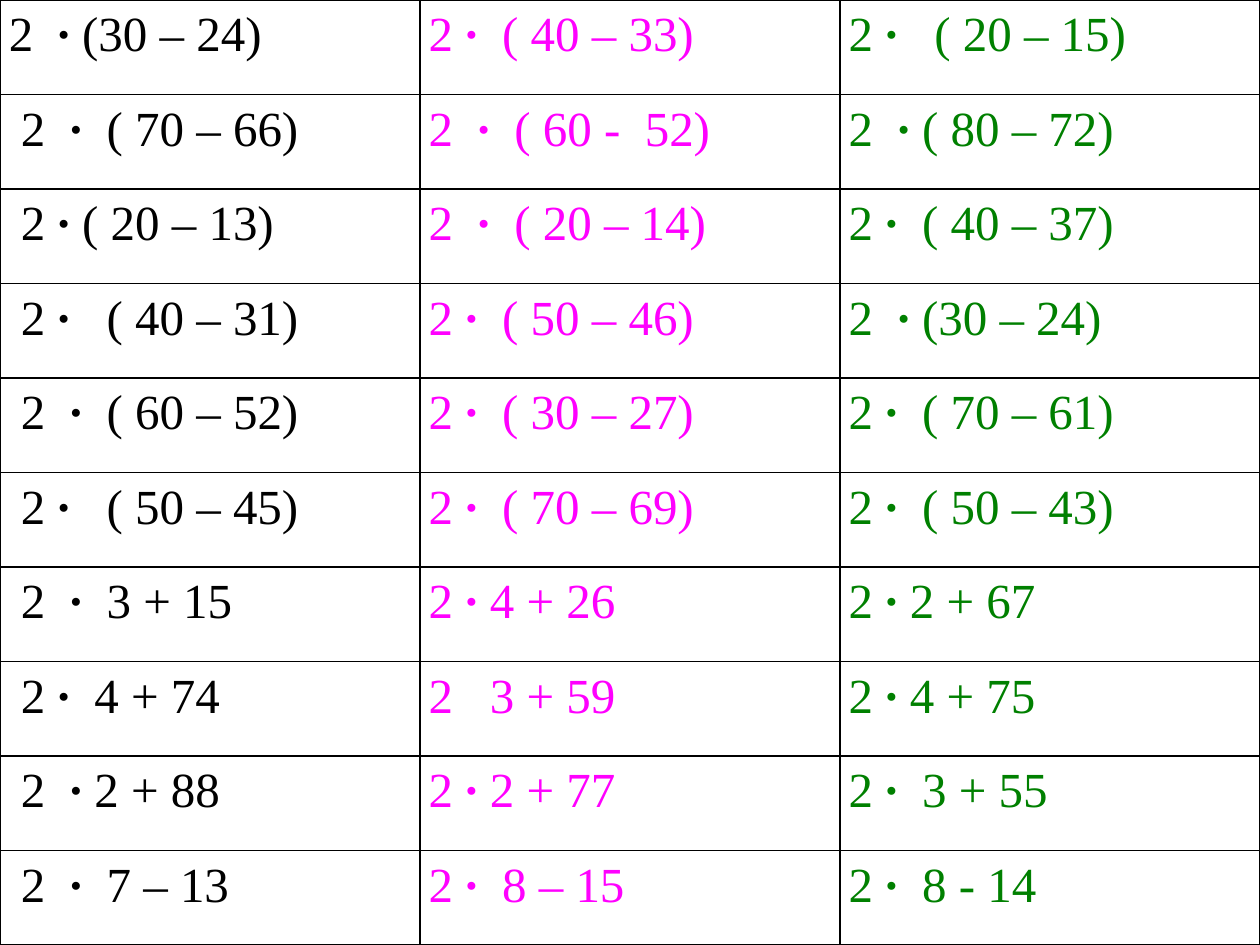
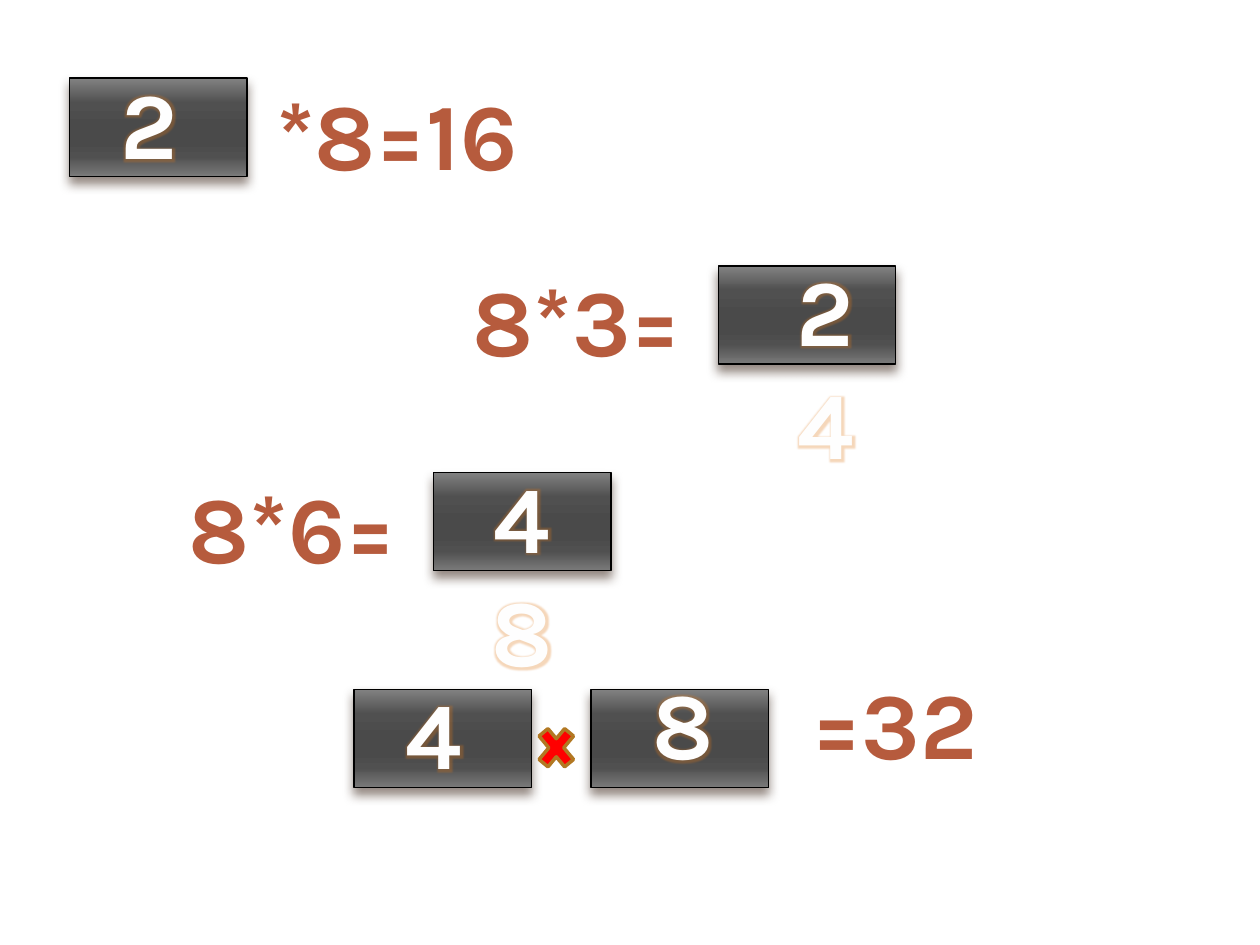
from dataclasses import dataclass

import lxml.etree
import pptx
import pptx.dml.color
import pptx.enum.shapes
import pptx.enum.text
import pptx.oxml.ns
import pptx.presentation
import pptx.shapes.autoshape
import pptx.slide
import pptx.table
import pptx.util

Inches = pptx.util.Inches
Pt = pptx.util.Pt
RGBColor = pptx.dml.color.RGBColor
qn = pptx.oxml.ns.qn

BLACK = RGBColor(0x00, 0x00, 0x00)
MAGENTA = RGBColor(0xFF, 0x00, 0xFF)
GREEN = RGBColor(0x00, 0x80, 0x00)
RED = RGBColor(0xFF, 0x00, 0x00)
GOLD = RGBColor(0xB2, 0x78, 0x22)
BRICK = RGBColor(0xB6, 0x5B, 0x3D)
OFF_WHITE = RGBColor(0xFE, 0xFE, 0xFE)
AMBER = RGBColor(0xBD, 0x6A, 0x17)
GLOW = RGBColor(0xE0, 0x78, 0x18)
SHADOW = RGBColor(0x4E, 0x3B, 0x30)
TILE_LIGHT = RGBColor(0x82, 0x82, 0x82)
TILE_MIDDLE = RGBColor(0x50, 0x50, 0x50)
TILE_DARK = RGBColor(0x4A, 0x4A, 0x4A)
TILE_BOTTOM = RGBColor(0x7A, 0x7A, 0x7A)
TILE_STOPS = [
    (0, TILE_LIGHT), (25, TILE_MIDDLE), (50, TILE_DARK),
    (65, TILE_DARK), (80, TILE_MIDDLE), (100, TILE_BOTTOM),
]

TABLE_FONT = "Times New Roman"
DISPLAY_FONT = "Karla"
SLIDE_WIDTH, SLIDE_HEIGHT = Inches(10), Inches(7.5)
TILE_WIDTH, TILE_HEIGHT = Inches(1.41), Inches(0.78)
TEXT_HEIGHT = Inches(1.01)
DOT = "∙"

COLUMN_COLORS = [BLACK, MAGENTA, GREEN]
EXERCISES = [
    ("2  ∙ (30 – 24)", "2 ∙  ( 40 – 33)", "2 ∙   ( 20 – 15)"),
    (" 2  ∙  ( 70 – 66)", "2  ∙  ( 60 -  52)", "2  ∙ ( 80 – 72)"),
    (" 2 ∙ ( 20 – 13)", "2  ∙  ( 20 – 14)", "2 ∙  ( 40 – 37)"),
    (" 2 ∙   ( 40 – 31)", "2 ∙  ( 50 – 46)", "2  ∙ (30 – 24)"),
    (" 2  ∙  ( 60 – 52)", "2 ∙  ( 30 – 27)", "2 ∙  ( 70 – 61)"),
    (" 2 ∙   ( 50 – 45)", "2 ∙  ( 70 – 69)", "2 ∙  ( 50 – 43)"),
    (" 2  ∙  3 + 15", "2 ∙ 4 + 26", "2 ∙ 2 + 67"),
    (" 2 ∙  4 + 74", "2   3 + 59", "2 ∙ 4 + 75"),
    (" 2  ∙ 2 + 88", "2 ∙ 2 + 77", "2 ∙  3 + 55"),
    (" 2  ∙  7 – 13", "2 ∙  8 – 15", "2 ∙  8 - 14"),
]


@dataclass(frozen=True)
class TextStyle:
    color: RGBColor
    outline: RGBColor
    outline_width: float
    glowing: bool


@dataclass(frozen=True)
class Label:
    text: str
    left: float
    top: float
    width: float
    wrapped: bool = False


EQUATION_STYLE = TextStyle(BRICK, BRICK, 1.42, False)
ANSWER_STYLE = TextStyle(OFF_WHITE, AMBER, 1, True)

TILES = [(0.55, 0.62), (5.7, 2.11), (3.44, 3.75), (2.81, 5.47), (4.69, 5.47)]
EQUATIONS = [
    Label("*8=16", 1.95, 0.55, 2.4),
    Label("8*3=", 3.59, 2.03, 1.98),
    Label("8*6=", 1.33, 3.67, 1.98),
    Label("=32", 6.33, 5.23, 1.54),
]
ANSWERS = [
    Label("2", 0.86, 0.47, 0.65),
    Label("24", 6.02, 1.95, 1.07, True),
    Label("48", 3.59, 3.59, 1.11, True),
    Label("8", 5.08, 5.23, 0.65),
    Label("4", 3.12, 5.31, 0.65),
]


def add_element(parent, tag: str, **attributes):
    values = {name: str(value) for name, value in attributes.items()}
    return lxml.etree.SubElement(parent, qn(tag), values)


def add_color(parent, color: RGBColor, alpha: int = 100) -> None:
    element = add_element(parent, "a:srgbClr", val=color)
    if alpha < 100:
        add_element(element, "a:alpha", val=alpha * 1000)


def add_line(parent, tag: str, color: RGBColor, width: float):
    line = add_element(parent, tag, w=int(Pt(width)))
    add_color(add_element(line, "a:solidFill"), color)
    return line


def fill_cell(cell: pptx.table._Cell, text: str, color: RGBColor) -> None:
    cell.margin_left = cell.margin_right = Inches(0.07)
    cell.margin_top = cell.margin_bottom = 0
    properties = cell._tc.get_or_add_tcPr()
    for side in "LRTB":
        add_line(properties, f"a:ln{side}", BLACK, 1)
    cell.fill.background()
    paragraph = cell.text_frame.paragraphs[0]
    paragraph.line_spacing = 1.15
    paragraph.font.name = TABLE_FONT
    paragraph.font.size = Pt(28)
    paragraph.font.color.rgb = color
    for part in text.partition(DOT):
        if part:
            run = paragraph.add_run()
            run.text = part
            run.font.bold = part == DOT


def add_exercise_table(slide: pptx.slide.Slide) -> None:
    table = slide.shapes.add_table(
        len(EXERCISES), len(COLUMN_COLORS), 0, 0, SLIDE_WIDTH, SLIDE_HEIGHT
    ).table
    table.first_row = False
    table.horz_banding = False
    for row, exercises in enumerate(EXERCISES):
        for column, (text, color) in enumerate(zip(exercises, COLUMN_COLORS)):
            fill_cell(table.cell(row, column), text, color)


def add_tile(slide: pptx.slide.Slide, left: float, top: float) -> None:
    tile = slide.shapes.add_shape(
        pptx.enum.shapes.MSO_SHAPE.RECTANGLE,
        Inches(left), Inches(top), TILE_WIDTH, TILE_HEIGHT,
    )
    tile.fill.gradient()
    tile.fill.gradient_angle = 270
    stops = tile._element.spPr.find(".//" + qn("a:gsLst"))
    for stop in list(stops):
        stops.remove(stop)
    for position, color in TILE_STOPS:
        add_color(add_element(stops, "a:gs", pos=position * 1000), color)
    tile.line.color.rgb = BLACK
    tile.line.width = Pt(0.79)
    tile.shadow.inherit = False
    effects = tile._element.spPr.find(qn("a:effectLst"))
    shadow = add_element(
        effects, "a:outerShdw", blurRad=int(Pt(6)), dist=int(Pt(4)),
        dir=90 * 60000, rotWithShape=0,
    )
    add_color(shadow, SHADOW, 60)


def add_label(slide: pptx.slide.Slide, label: Label, style: TextStyle) -> None:
    box = slide.shapes.add_textbox(
        Inches(label.left), Inches(label.top), Inches(label.width), TEXT_HEIGHT
    )
    frame = box.text_frame
    frame.word_wrap = label.wrapped
    frame.auto_size = pptx.enum.text.MSO_AUTO_SIZE.SHAPE_TO_FIT_TEXT
    paragraph = frame.paragraphs[0]
    paragraph.alignment = pptx.enum.text.PP_ALIGN.CENTER
    paragraph.font.name = DISPLAY_FONT
    paragraph.font.size = Pt(54)
    paragraph.font.bold = True
    run = paragraph.add_run()
    run.text = label.text
    properties = run.font._element
    add_line(properties, "a:ln", style.outline, style.outline_width)
    run.font.color.rgb = style.color
    if style.glowing:
        properties.set("spc", "50")
        effects = add_element(properties, "a:effectLst")
        add_color(add_element(effects, "a:glow", rad=int(Pt(4))), GLOW, 30)


def add_cross(slide: pptx.slide.Slide) -> None:
    cross = slide.shapes.add_shape(
        pptx.enum.shapes.MSO_SHAPE.MATH_MULTIPLY,
        Inches(4.22), Inches(5.7), Inches(0.39), Inches(0.47),
    )
    cross.shadow.inherit = False
    cross.fill.solid()
    cross.fill.fore_color.rgb = RED
    cross.line.color.rgb = GOLD
    cross.line.width = Pt(2)


def add_puzzle(slide: pptx.slide.Slide) -> None:
    for left, top in TILES:
        add_tile(slide, left, top)
    for equation in EQUATIONS:
        add_label(slide, equation, EQUATION_STYLE)
    add_cross(slide)
    for answer in ANSWERS:
        add_label(slide, answer, ANSWER_STYLE)


def main() -> None:
    presentation = pptx.Presentation()
    presentation.slide_width = SLIDE_WIDTH
    presentation.slide_height = SLIDE_HEIGHT
    blank = presentation.slide_layouts[6]
    for build in (add_exercise_table, add_puzzle):
        build(presentation.slides.add_slide(blank))
    presentation.save("out.pptx")


if __name__ == "__main__":
    main()
